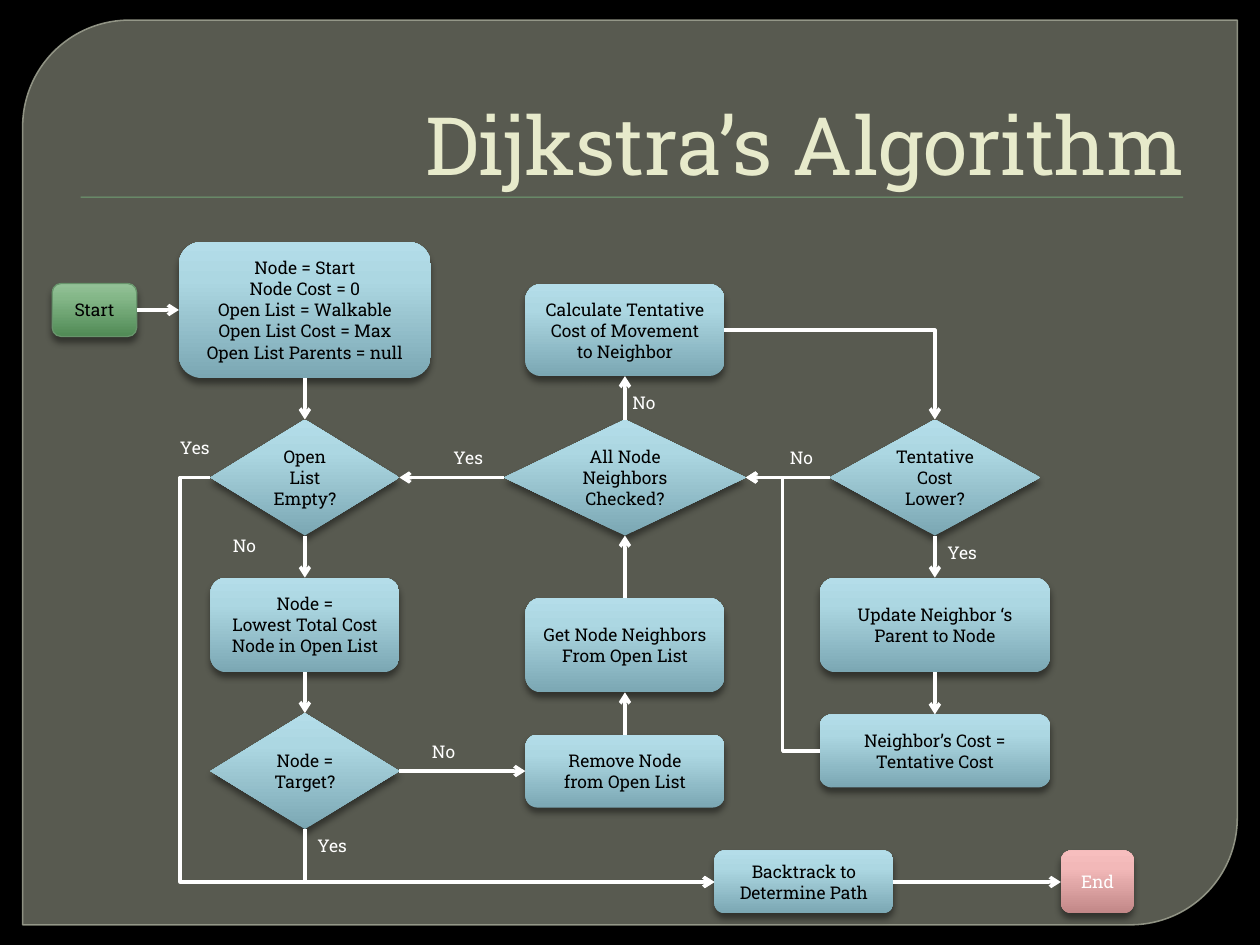
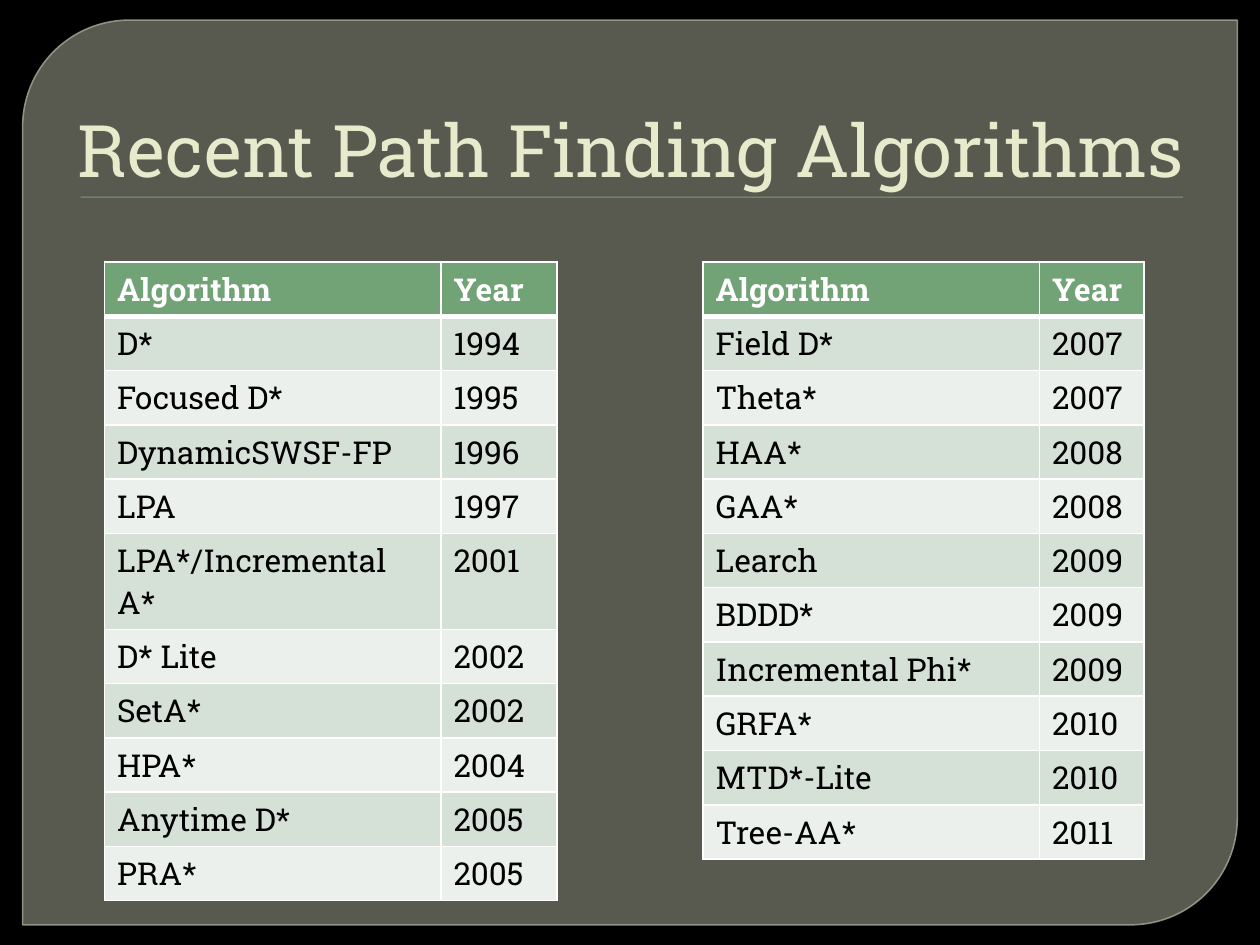
from dataclasses import dataclass

from pptx import Presentation
from pptx.dml.color import RGBColor
from pptx.enum.shapes import MSO_CONNECTOR, MSO_SHAPE
from pptx.enum.text import MSO_ANCHOR, MSO_AUTO_SIZE, PP_ALIGN
from pptx.oxml import parse_xml
from pptx.oxml.ns import nsdecls, qn
from pptx.util import Inches, Pt


@dataclass(frozen=True)
class Theme:
    font: str = "Roboto Slab"
    black: str = "000000"
    white: str = "FFFFFF"
    title: str = "E7EACB"
    panel: str = "888B7B"
    panel_line: str = "9DA090"
    green: str = "72A376"
    start_line: str = "67946B"
    bands: tuple = ("D5E0D6", "EBF0EC")
    blue_fill: tuple = ("7BA7B3", "ACD7E2", "B4DDE9")
    green_fill: tuple = ("508A55", "83B687", "94C298")
    red_fill: tuple = ("C18787", "F2B8B8", "F7BEBE")
    title_pt: float = 46
    long_title_pt: float = 41.4
    table_pt: float = 18
    flow_pt: float = 10
    arrow_pt: float = 2


T = Theme()
TOP, LEFT, BOTTOM, RIGHT = range(4)
BOX, DECISION = MSO_SHAPE.ROUNDED_RECTANGLE, MSO_SHAPE.FLOWCHART_DECISION

# Centre lines of the flow chart
COL_OPEN, COL_NEIGHBORS, COL_COST = 2.42, 4.96, 7.42
ROW_START, ROW_DECISIONS, ROW_UPDATE, ROW_TARGET, ROW_END = 2.46, 3.79, 4.96, 6.12, 7

# key: kind, centre x, centre y, width, height, text
STEPS = {
    "init": (BOX, COL_OPEN, ROW_START, 2, 1.08,
             "Node = Start\nNode Cost = 0\nOpen List = Walkable\n"
             "Open List Cost = Max\nOpen List Parents = null"),
    "empty": (DECISION, COL_OPEN, ROW_DECISIONS, 1.5, 0.92, "Open List Empty?"),
    "lowest": (BOX, COL_OPEN, ROW_UPDATE, 1.5, 0.75,
               "Node =\nLowest Total Cost Node in Open List"),
    "target": (DECISION, COL_OPEN, ROW_TARGET, 1.5, 0.92, "Node = Target?"),
    "remove": (BOX, COL_NEIGHBORS, ROW_TARGET, 1.58, 0.58, "Remove Node\nfrom Open List"),
    "get": (BOX, COL_NEIGHBORS, 5.12, 1.58, 0.75, "Get Node Neighbors\nFrom Open List"),
    "checked": (DECISION, COL_NEIGHBORS, ROW_DECISIONS, 1.92, 0.92,
                "All Node Neighbors Checked?"),
    "calculate": (BOX, COL_NEIGHBORS, 2.62, 1.58, 0.73,
                  "Calculate Tentative Cost of Movement to Neighbor"),
    "lower": (DECISION, COL_COST, ROW_DECISIONS, 1.67, 0.92, "Tentative Cost Lower?"),
    "update": (BOX, COL_COST, ROW_UPDATE, 1.83, 0.75, "Update Neighbor ‘s Parent to Node"),
    "cost": (BOX, COL_COST, 5.96, 1.83, 0.58, "Neighbor’s Cost =\nTentative Cost"),
    "backtrack": (BOX, 6.38, ROW_END, 1.42, 0.5, "Backtrack to Determine Path"),
}

ARROWS = [
    ("start", RIGHT, "init", LEFT), ("init", BOTTOM, "empty", TOP),
    ("empty", BOTTOM, "lowest", TOP), ("lowest", BOTTOM, "target", TOP),
    ("target", RIGHT, "remove", LEFT), ("remove", TOP, "get", BOTTOM),
    ("get", TOP, "checked", BOTTOM), ("checked", TOP, "calculate", BOTTOM),
    ("checked", LEFT, "empty", RIGHT), ("lower", LEFT, "checked", RIGHT),
    ("lower", BOTTOM, "update", TOP), ("update", BOTTOM, "cost", TOP),
    ("backtrack", RIGHT, "end", LEFT),
]

ANSWERS = [
    ("No", 1.75, 4.2), ("Yes", 1.33, 3.42), ("Yes", 2.42, 6.58), ("No", 3.33, 5.83),
    ("Yes", 7.42, 4.25), ("No", 4.92, 3.06), ("Yes", 3.5, 3.5), ("No", 6.17, 3.5),
]

EARLIER = [
    ("D*", 1994), ("Focused D*", 1995), ("DynamicSWSF-FP", 1996), ("LPA", 1997),
    ("LPA*/Incremental A*", 2001), ("D* Lite", 2002), ("SetA*", 2002),
    ("HPA*", 2004), ("Anytime D*", 2005), ("PRA*", 2005),
]
LATER = [
    ("Field D*", 2007), ("Theta*", 2007), ("HAA*", 2008), ("GAA*", 2008),
    ("Learch", 2009), ("BDDD*", 2009), ("Incremental Phi*", 2009),
    ("GRFA*", 2010), ("MTD*-Lite", 2010), ("Tree-AA*", 2011),
]


def rgb(color):
    return RGBColor.from_string(color)


def format_text(tf, size, color, align=PP_ALIGN.LEFT, bold=False):
    for p in tf.paragraphs:
        p.alignment = align
        for r in p.runs:
            r.font.name, r.font.size, r.font.bold = T.font, Pt(size), bold
            r.font.color.rgb = rgb(color)


def set_alpha(parent, percent):
    clr = parent.find(".//" + qn("a:srgbClr"))
    clr.append(parse_xml(f'<a:alpha {nsdecls("a")} val="{percent * 1000}"/>'))


def add_shadow(sp, alpha, blur, dist):
    sp.shadow.inherit = False
    sp._element.spPr.find(qn("a:effectLst")).append(parse_xml(
        f'<a:outerShdw {nsdecls("a")} blurRad="{Pt(blur)}" dist="{Pt(dist)}" dir="5400000" '
        f'rotWithShape="0"><a:srgbClr val="{T.black}"><a:alpha val="{alpha * 1000}"/>'
        '</a:srgbClr></a:outerShdw>'))


def fill_gradient(sp, colors):
    """Run the three colours from the bottom of the shape to its top."""
    sp.fill.gradient()
    sp.fill.gradient_angle = 90
    stops = sp._element.spPr.find(".//" + qn("a:gsLst"))
    stops.clear()
    for pos, color in zip((0, 72, 100), colors):
        stops.append(parse_xml(f'<a:gs {nsdecls("a")} pos="{pos * 1000}">'
                               f'<a:srgbClr val="{color}"/></a:gs>'))


def dress_master(prs, slide):
    """Draw the panel and the title rule, and move them to the master."""
    master = prs.slide_master
    master.background.fill.solid()
    master.background.fill.fore_color.rgb = rgb(T.black)

    panel = slide.shapes.add_shape(MSO_SHAPE.ROUND_2_DIAG_RECTANGLE, Inches(0.18),
                                   Inches(0.16), Inches(9.64), Inches(7.18))
    panel.adjustments[0], panel.adjustments[1] = 0.118, 0
    panel.shadow.inherit = False
    panel.fill.solid()
    panel.fill.fore_color.rgb = rgb(T.panel)
    panel.line.color.rgb = rgb(T.panel_line)
    panel.line.width = Pt(0.87)
    set_alpha(panel._element.spPr.find(qn("a:solidFill")), 65)
    set_alpha(panel._element.spPr.find(qn("a:ln")), 88)

    rule = slide.shapes.add_shape(MSO_SHAPE.RECTANGLE, Inches(0.64), Inches(1.56),
                                  Inches(8.75), Inches(0.01))
    rule.fill.solid()
    rule.fill.fore_color.rgb = rgb(T.green)
    rule.line.fill.background()
    add_shadow(rule, 75, 1, 1)

    for i, sp in enumerate((panel, rule)):
        master.shapes._spTree.insert(2 + i, sp._element)


def add_titled_slide(prs, text, size):
    slide = prs.slides.add_slide(prs.slide_layouts[5])
    title = slide.shapes.title
    title.left, title.top, title.width, title.height = map(Inches, (0.5, 0.28, 9, 1.25))
    tf = title.text_frame
    tf.text = text
    tf.auto_size = MSO_AUTO_SIZE.NONE
    tf.vertical_anchor = MSO_ANCHOR.BOTTOM
    tf.margin_bottom = 0
    tf.paragraphs[0].line_spacing = 0.9
    format_text(tf, size, T.title, PP_ALIGN.RIGHT)
    return slide


def add_step(slide, kind, cx, cy, w, h, text, colors=T.blue_fill, ink=T.black):
    sp = slide.shapes.add_shape(kind, Inches(cx - w / 2), Inches(cy - h / 2),
                                Inches(w), Inches(h))
    fill_gradient(sp, colors)
    sp.line.fill.background()
    add_shadow(sp, 43, 4, 3)
    tf = sp.text_frame
    tf.text = text
    tf.word_wrap = True
    tf.vertical_anchor = MSO_ANCHOR.MIDDLE
    format_text(tf, T.flow_pt, ink, PP_ALIGN.CENTER)
    return sp


def add_answer(slide, text, x, y):
    box = slide.shapes.add_textbox(Inches(x), Inches(y),
                                   Inches(0.38 if text == "No" else 0.44), Inches(0.27))
    tf = box.text_frame
    tf.text = text
    tf.word_wrap = False
    tf.auto_size = MSO_AUTO_SIZE.SHAPE_TO_FIT_TEXT
    format_text(tf, T.flow_pt, T.white)


def add_arrow(slide, kind, x1, y1, x2, y2):
    line = slide.shapes.add_connector(kind, x1, y1, x2, y2)
    line.line.color.rgb = rgb(T.white)
    line.line.width = Pt(T.arrow_pt)
    line.line._get_or_add_ln().append(parse_xml(f'<a:tailEnd {nsdecls("a")} type="arrow"/>'))
    line._element.spPr.append(parse_xml(f'<a:effectLst {nsdecls("a")}/>'))
    return line


def side_point(sp, side):
    mid_x, mid_y = sp.left + sp.width // 2, sp.top + sp.height // 2
    return ((mid_x, sp.top), (sp.left, mid_y),
            (mid_x, sp.top + sp.height), (sp.left + sp.width, mid_y))[side]


def join(slide, a, a_side, b, b_side):
    line = add_arrow(slide, MSO_CONNECTOR.STRAIGHT,
                     *side_point(a, a_side), *side_point(b, b_side))
    line.begin_connect(a, a_side)
    line.end_connect(b, b_side)


def add_elbow(slide, start, end, bend=0.5):
    """Two-corner arrow; bend is the share of the width where it turns."""
    line = add_arrow(slide, MSO_CONNECTOR.ELBOW, *start, *end)
    guides = line._element.spPr.find(qn("a:prstGeom")).get_or_add_avLst()
    guides.append(parse_xml(f'<a:gd {nsdecls("a")} name="adj1" '
                            f'fmla="val {round(bend * 100000)}"/>'))


def add_corner(slide, start, end, down_first=False):
    """One-corner arrow that runs to the right and down."""
    (x1, y1), (x2, y2) = start, end
    if down_first:  # mirrored outline, turned a quarter to the left
        cx, cy, w, h = (x1 + x2) // 2, (y1 + y2) // 2, x2 - x1, y2 - y1
        x1, y1, x2, y2 = cx + h // 2, cy - w // 2, cx - h // 2, cy + w // 2
    line = add_arrow(slide, MSO_CONNECTOR.ELBOW, x1, y1, x2, y2)
    sp_pr = line._element.spPr
    sp_pr.find(qn("a:prstGeom")).set("prst", "bentConnector2")
    if down_first:
        sp_pr.find(qn("a:xfrm")).set("rot", str(270 * 60000))


def add_flow_chart(slide):
    steps = {key: add_step(slide, *step) for key, step in STEPS.items()}
    steps["start"] = add_step(slide, BOX, 0.75, ROW_START, 0.67, 0.42, "Start", T.green_fill)
    steps["start"].line.color.rgb = rgb(T.start_line)
    steps["start"].line.width = Pt(0.75)
    steps["end"] = add_step(slide, BOX, 8.71, ROW_END, 0.58, 0.5, "End", T.red_fill, T.white)

    for a, a_side, b, b_side in ARROWS:
        join(slide, steps[a], a_side, steps[b], b_side)

    def at(key, side):
        return side_point(steps[key], side)

    add_elbow(slide, at("cost", LEFT), at("checked", RIGHT))
    add_elbow(slide, at("empty", LEFT), at("backtrack", LEFT), bend=-0.06)
    add_corner(slide, at("calculate", RIGHT), at("lower", TOP))
    add_corner(slide, at("target", BOTTOM), at("backtrack", LEFT), down_first=True)
    for answer in ANSWERS:
        add_answer(slide, *answer)


def set_borders(cell, **widths):
    tc_pr = cell._tc.get_or_add_tcPr()
    for side in "LRTB":
        tc_pr.append(parse_xml(
            f'<a:ln{side} {nsdecls("a")} w="{Pt(widths.get(side, 1))}"><a:solidFill>'
            f'<a:srgbClr val="{T.white}"/></a:solidFill></a:ln{side}>'))


def add_year_table(slide, x, year_width, algorithms):
    rows = [("Algorithm", "Year"), *algorithms]
    widths = (2.67, year_width)
    table = slide.shapes.add_table(len(rows), 2, Inches(x), Inches(2.08),
                                   Inches(sum(widths)), Inches(0.41 * len(rows))).table
    for col, width in zip(table.columns, widths):
        col.width = Inches(width)
    for i, row in enumerate(rows):
        header = i == 0
        for j, value in enumerate(row):
            cell = table.cell(i, j)
            set_borders(cell, T=3 if i == 1 else 1, B=3 if header else 1)
            cell.fill.solid()
            cell.fill.fore_color.rgb = rgb(T.green if header else T.bands[(i - 1) % 2])
            cell.text_frame.text = str(value)
            format_text(cell.text_frame, T.table_pt, T.white if header else T.black,
                        bold=header)


def main():
    prs = Presentation()
    prs.slide_width, prs.slide_height = Inches(10), Inches(7.5)

    slide = add_titled_slide(prs, "Dijkstra’s Algorithm", T.title_pt)
    dress_master(prs, slide)
    add_flow_chart(slide)

    slide = add_titled_slide(prs, "Recent Path Finding Algorithms", T.long_title_pt)
    add_year_table(slide, 0.83, 0.92, EARLIER)
    add_year_table(slide, 5.58, 0.83, LATER)

    prs.save("out.pptx")


if __name__ == "__main__":
    main()
